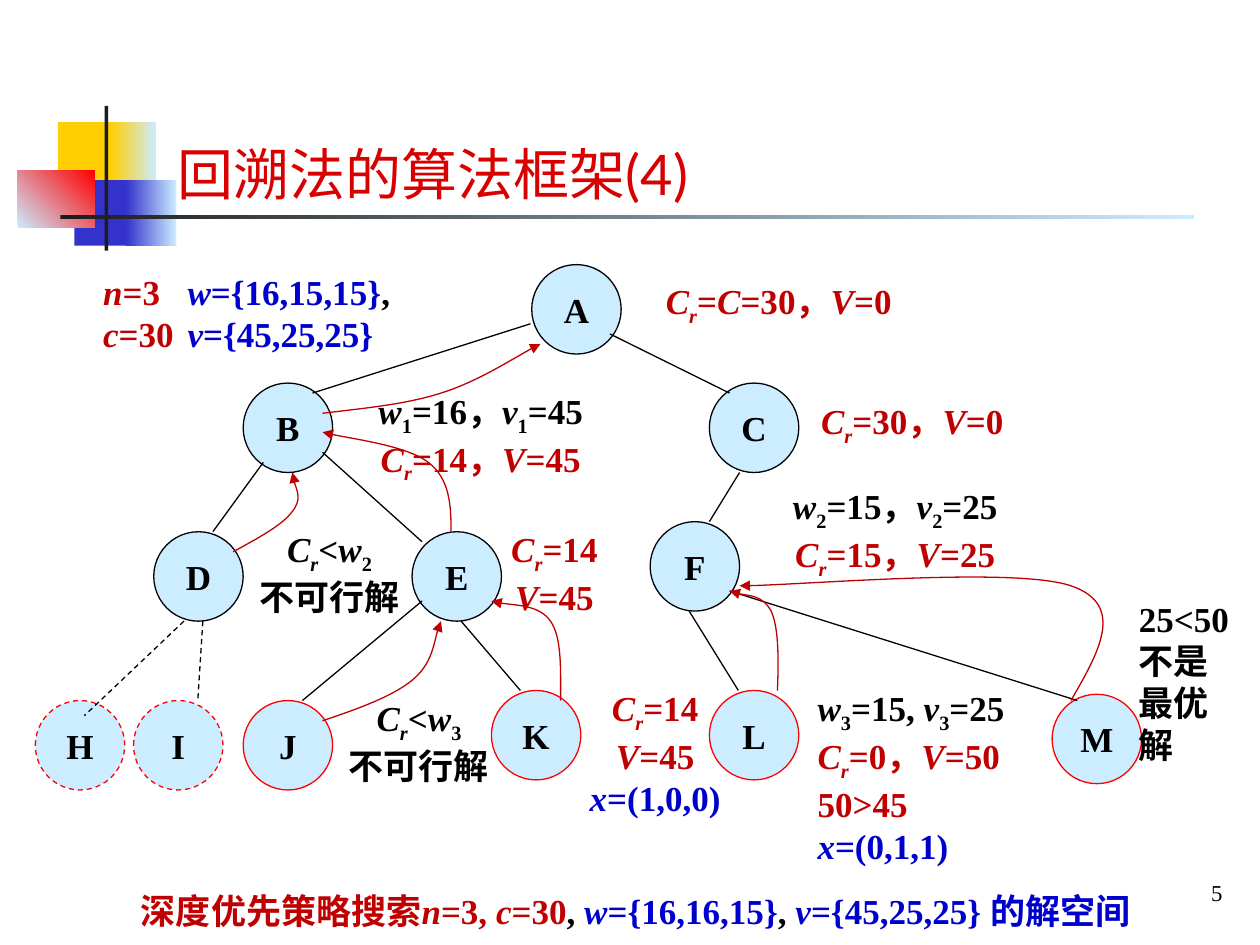
from dataclasses import dataclass
from itertools import groupby

from lxml import etree
from pptx import Presentation
from pptx.dml.color import RGBColor
from pptx.enum.dml import MSO_LINE
from pptx.enum.shapes import MSO_CONNECTOR, MSO_SHAPE
from pptx.enum.text import MSO_ANCHOR, MSO_AUTO_SIZE, PP_ALIGN
from pptx.oxml.ns import qn
from pptx.util import Inches, Pt

RECTANGLE, OVAL = MSO_SHAPE.RECTANGLE, MSO_SHAPE.OVAL
STRAIGHT, DASH = MSO_CONNECTOR.STRAIGHT, MSO_LINE.DASH
LEFT, CENTER, RIGHT = PP_ALIGN.LEFT, PP_ALIGN.CENTER, PP_ALIGN.RIGHT
TOP, MIDDLE, BOTTOM = MSO_ANCHOR.TOP, MSO_ANCHOR.MIDDLE, MSO_ANCHOR.BOTTOM
FIT = MSO_AUTO_SIZE.SHAPE_TO_FIT_TEXT

BLACK = RGBColor(0x00, 0x00, 0x00)
INK = RGBColor(0x1C, 0x1C, 0x1C)
SKY = RGBColor(0xCC, 0xEC, 0xFF)
RED = RGBColor(0xFF, 0x00, 0x00)
DARK_RED = RGBColor(0xC0, 0x00, 0x00)
TITLE_RED = RGBColor(0xD8, 0x00, 0x00)
BLUE = RGBColor(0x00, 0x00, 0xCC)
INDIGO = RGBColor(0x33, 0x33, 0xCC)
YELLOW = RGBColor(0xFF, 0xCF, 0x01)

SERIF = "Times New Roman"
NODE_SIZE = 0.71
LINE_WIDTH = Pt(0.75)
GAP_TAB = 0.67


@dataclass(frozen=True)
class Bar:
    box: tuple
    start: RGBColor
    end: RGBColor | None = None
    angle: float = 0


@dataclass(frozen=True)
class Node:
    name: str
    left: float
    top: float
    color: RGBColor = BLACK
    dashed: bool = False


@dataclass(frozen=True)
class Label:
    """Each line is a tuple of (text, color) parts."""
    box: tuple
    lines: tuple
    align: int = CENTER
    wrap: bool = False


@dataclass(frozen=True)
class Edge:
    start: tuple
    end: tuple
    dashed: bool = False


BARS = (
    Bar((0.46, 0.97, 0.48, 0.52), YELLOW),
    Bar((0.88, 0.97, 0.36, 0.52), YELLOW, SKY),
    Bar((0.59, 1.43, 0.46, 0.52), INDIGO),
    Bar((1, 1.43, 0.4, 0.52), INDIGO, SKY),
    Bar((0.14, 1.35, 0.61, 0.46), SKY, RED, 45),
    Bar((0.83, 0.84, 0.03, 1.15), INK),
    Bar((0.48, 1.71, 9, 0.03), INK, SKY),
)
NODES = (
    Node("A", 4.22, 2.1), Node("B", 1.93, 3.04), Node("C", 5.63, 3.04),
    Node("D", 1.22, 4.22), Node("E", 3.27, 4.22), Node("F", 5.16, 4.14),
    Node("H", 0.28, 5.56, RED, True), Node("I", 1.06, 5.56, RED, True),
    Node("J", 1.93, 5.56, RED), Node("K", 3.9, 5.48, RED),
    Node("L", 5.63, 5.48, RED), Node("M", 8.35, 5.51, RED),
)
EDGES = (
    Edge((4.21, 2.57), (2.48, 3.12)), Edge((4.84, 2.65), (5.79, 3.12)),
    Edge((2.09, 3.67), (1.69, 4.22)), Edge((2.56, 3.59), (3.35, 4.3)),
    Edge((5.87, 3.75), (5.63, 4.14)), Edge((3.35, 4.77), (2.4, 5.56)),
    Edge((3.66, 4.93), (4.13, 5.48)), Edge((5.47, 4.85), (5.86, 5.48)),
    Edge((5.79, 4.69), (8.55, 5.56)),
    Edge((1.46, 4.93), (0.67, 5.68), True), Edge((1.61, 4.93), (1.57, 5.56), True),
)
# Start point, then two control points and an end point for each Bezier segment.
BACKTRACKS = (
    ((2.56, 5.72), (2.83, 5.63), (3.11, 5.53), (3.27, 5.4), (3.43, 5.27), (3.46, 5.01), (3.5, 4.93)),
    ((6.17, 5.48), (6.18, 5.23), (6.18, 4.98), (6.12, 4.85), (6.05, 4.72), (5.84, 4.72), (5.79, 4.69)),
    ((3.58, 4.22), (3.58, 4.01), (3.57, 3.8), (3.4, 3.67), (3.23, 3.54), (2.7, 3.47), (2.56, 3.43)),
    ((1.85, 4.38), (2.05, 4.27), (2.24, 4.17), (2.32, 4.06), (2.4, 3.96), (2.32, 3.8), (2.32, 3.75)),
    ((2.56, 3.28), (2.89, 3.24), (3.22, 3.21), (3.5, 3.12), (3.79, 3.03), (4.16, 2.79), (4.29, 2.73)),
    ((4.45, 5.56), (4.45, 5.31), (4.46, 5.06), (4.37, 4.93), (4.28, 4.8), (3.98, 4.8), (3.9, 4.77)),
    ((8.5, 5.56), (8.72, 5.18), (8.94, 4.8), (8.5, 4.65), (8.06, 4.5), (6.3, 4.65), (5.87, 4.65)),
)
INFEASIBLE = (("不可行解", BLACK),)
LEFT_14 = (("C_r=14", DARK_RED),)
VALUE_45 = (("V=45", DARK_RED),)
LABELS = (
    Label((0.72, 2.1, 2.47, 0.77), (
        (("n=3\t", DARK_RED), ("w={16,15,15}", BLUE), (",", BLACK)),
        (("c=30\t", DARK_RED), ("v={45,25,25}", BLUE))), LEFT),
    Label((5.12, 2.17, 2.12, 0.48), ((("C_r=C=30，V=0", DARK_RED),),)),
    Label((2.84, 3.04, 1.95, 0.86), (
        (("w_1=16，v_1=45", BLACK),), (("C_r=14，V=45", DARK_RED),))),
    Label((6.35, 3.12, 1.78, 0.48), ((("C_r=30，V=0", DARK_RED),),)),
    Label((6.13, 3.8, 1.95, 0.86), (
        (("w_2=15，v_2=25", BLACK),), (("C_r=15，V=25", DARK_RED),))),
    Label((1.96, 4.14, 1.31, 0.82), ((("C_r<w_2", BLACK),), INFEASIBLE)),
    Label((3.96, 4.14, 0.88, 0.82), (LEFT_14, VALUE_45)),
    Label((2.67, 5.48, 1.31, 0.82), ((("C_r<w_3", BLACK),), INFEASIBLE)),
    Label((4.53, 5.4, 1.34, 1.15), (LEFT_14, VALUE_45, (("x=(1,0,0)", BLUE),)), wrap=True),
    Label((6.39, 5.4, 1.78, 1.53), (
        (("w_3=15, v_3=25", BLACK),), (("C_r=0，V=50", DARK_RED),),
        (("50>45", DARK_RED),), (("x=(0,1,1)", BLUE),)), LEFT),
    Label((8.94, 4.69, 1.07, 1.44), tuple(
        ((text, BLACK),) for text in ("25<50", "不是", "最优", "解")), LEFT, True),
    Label((1.02, 7.01, 8.31, 0.43), ((
        ("深度优先策略搜索n=3, c=30", DARK_RED), (", ", BLACK), ("w={16,16,15}", BLUE),
        (", ", BLACK), ("v={45,25,25} 的解空间", BLUE)),), LEFT, True),
)


def add_span(para, text: str, *, size=20, font=SERIF, color=BLACK, bold=True,
             italic=False, subscript=False) -> None:
    span = para.add_run()
    span.text = text
    span.font.size, span.font.name = Pt(size), font
    span.font.bold, span.font.italic = bold, italic
    span.font.color.rgb = color
    if subscript:
        span.font._element.set("baseline", "-25000")


def add_formula(para, text: str, color: RGBColor) -> None:
    """Set Latin letters in italics and any character after _ as a subscript."""
    marked = [(char, char.isascii() and char.isalpha(), text[max(i - 1, 0)] == "_")
              for i, char in enumerate(text) if char != "_"]
    for (italic, subscript), group in groupby(marked, key=lambda item: item[1:]):
        add_span(para, "".join(item[0] for item in group), color=color,
                 italic=italic, subscript=subscript)


def add_box(page, box: tuple, *, wrap=False, anchor=TOP):
    frame = page.shapes.add_textbox(*map(Inches, box)).text_frame
    frame.word_wrap, frame.vertical_anchor = wrap, anchor
    return frame


def draw_bar(page, bar: Bar) -> None:
    shape = page.shapes.add_shape(RECTANGLE, *map(Inches, bar.box))
    shape.shadow.inherit = False
    shape.line.fill.background()
    if bar.end is None:
        shape.fill.solid()
        shape.fill.fore_color.rgb = bar.start
        return
    shape.fill.gradient()
    shape.fill.gradient_angle = bar.angle
    for stop, color in zip(shape.fill.gradient_stops, (bar.start, bar.end)):
        stop.color.rgb = color


def style_line(line, color: RGBColor, dashed: bool = False) -> None:
    line.color.rgb, line.width = color, LINE_WIDTH
    if dashed:
        line.dash_style = DASH


def draw_node(page, node: Node) -> None:
    shape = page.shapes.add_shape(
        OVAL, *map(Inches, (node.left, node.top, NODE_SIZE, NODE_SIZE)))
    shape.shadow.inherit = False
    shape.fill.solid()
    shape.fill.fore_color.rgb = SKY
    style_line(shape.line, node.color, node.dashed)
    frame = shape.text_frame
    frame.word_wrap, frame.vertical_anchor = False, MIDDLE
    frame.paragraphs[0].alignment = CENTER
    add_span(frame.paragraphs[0], node.name)


def draw_label(page, label: Label) -> None:
    frame = add_box(page, label.box, wrap=label.wrap)
    frame.auto_size = FIT
    frame.margin_right = 0
    if label.align == CENTER:
        frame.margin_left = 0
    for index, line in enumerate(label.lines):
        para = frame.add_paragraph() if index else frame.paragraphs[0]
        para.alignment = label.align
        if any("\t" in text for text, _ in line):
            tabs = etree.SubElement(para._p.get_or_add_pPr(), qn("a:tabLst"))
            etree.SubElement(tabs, qn("a:tab"), pos=str(Inches(GAP_TAB)), algn="l")
        for text, color in line:
            add_formula(para, text, color)


def draw_edge(page, edge: Edge) -> None:
    connector = page.shapes.add_connector(STRAIGHT, *map(Inches, edge.start + edge.end))
    style_line(connector.line, BLACK, edge.dashed)
    etree.SubElement(connector._element.spPr, qn("a:effectLst"))


def draw_backtrack(page, points: tuple) -> None:
    """Draw a curved arrow, joining each three points into one Bezier segment."""
    start, *rest = [(Inches(x), Inches(y)) for x, y in points]
    builder = page.shapes.build_freeform(*start)
    builder.add_line_segments(rest, close=False)
    shape = builder.convert_to_shape()
    shape.shadow.inherit = False
    shape.fill.background()
    style_line(shape.line, DARK_RED)
    etree.SubElement(shape.line._get_or_add_ln(), qn("a:tailEnd"), type="triangle")
    segments = list(shape._element.iter(qn("a:lnTo")))
    outline = segments[0].getparent()
    for first in range(0, len(segments), 3):
        curve = etree.SubElement(outline, qn("a:cubicBezTo"))
        for segment in segments[first:first + 3]:
            curve.append(segment[0])
            outline.remove(segment)


def main() -> None:
    deck = Presentation()
    deck.slide_width, deck.slide_height = Inches(10), Inches(7.5)
    page = deck.slides.add_slide(deck.slide_layouts[6])
    for bar in BARS:
        draw_bar(page, bar)
    title = add_box(page, (1.31, 0.6, 8.42, 1.09), wrap=True, anchor=BOTTOM)
    add_span(title.paragraphs[0], "回溯法的算法框架(4)", size=32, font="Lato",
             color=TITLE_RED, bold=False)
    number = add_box(page, (7.89, 6.9, 1.91, 0.37), anchor=MIDDLE).paragraphs[0]
    number.alignment = RIGHT
    add_span(number, "5", size=13, bold=False)
    for draw, items in ((draw_node, NODES), (draw_label, LABELS),
                        (draw_edge, EDGES), (draw_backtrack, BACKTRACKS)):
        for item in items:
            draw(page, item)
    deck.save("out.pptx")


if __name__ == "__main__":
    main()
